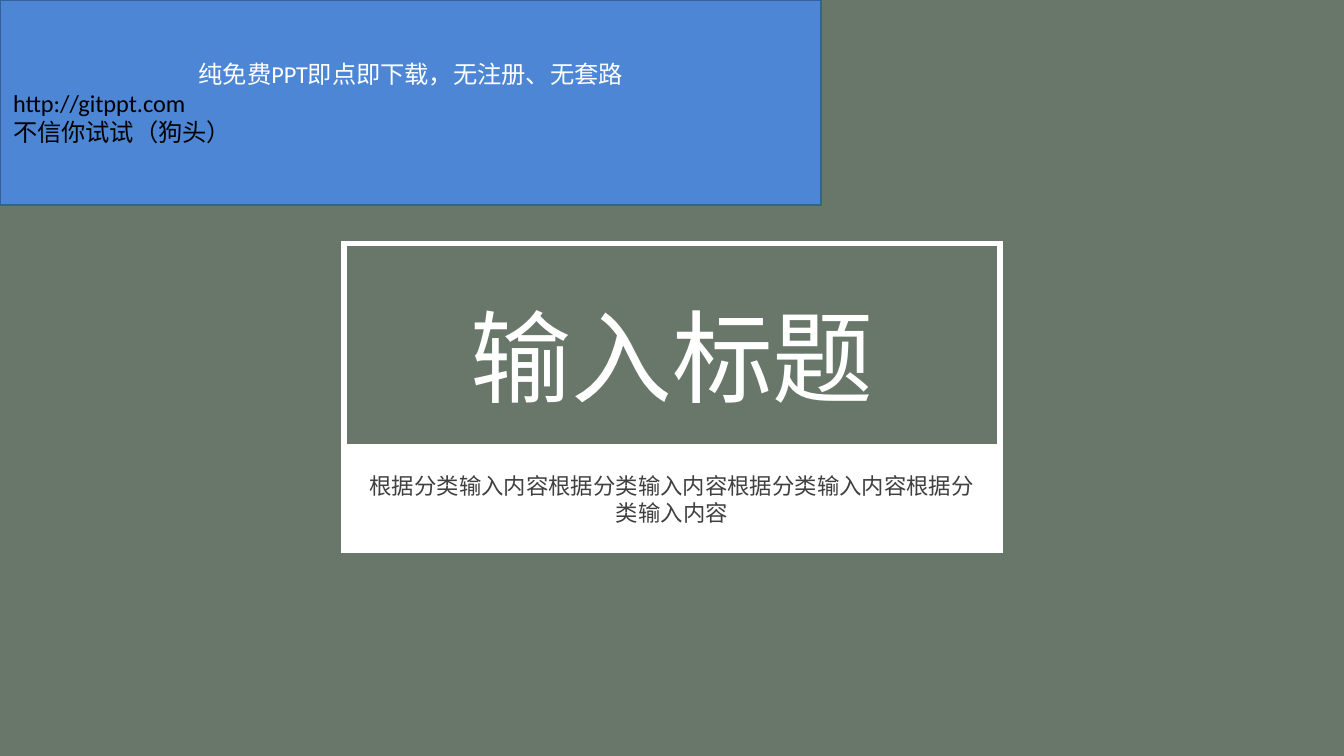
"""Build a cover slide with a framed title, a caption band and a notice banner."""
import pptx
import pptx.dml.color
import pptx.enum.shapes
import pptx.enum.text
import pptx.oxml.ns
import pptx.util
from lxml import etree

Cm = pptx.util.Cm
Pt = pptx.util.Pt
ALIGN = pptx.enum.text.PP_ALIGN
ANCHOR = pptx.enum.text.MSO_ANCHOR
FIT = pptx.enum.text.MSO_AUTO_SIZE
THEME = {
    "green": "687769", "white": "FFFFFF", "grey": "404040", "black": "000000",
    "blue": "4C86D4", "navy": "35619B",
    "chinese": "Noto Sans CJK SC", "latin": "Calibri",
    "title": Pt(54), "caption": Pt(12), "notice": Pt(13),
}


def color(name):
    return pptx.dml.color.RGBColor.from_string(THEME[name])


deck = pptx.Presentation()
deck.slide_width, deck.slide_height = Cm(25.4), Cm(14.29)
page = deck.slides.add_slide(deck.slide_layouts[5])
title = page.shapes.title

panels = [
    ((0, 0, 25.4, 14.29), 0, "green", None, 0),
    ((9.8, 1.3, 5.8, 12.4), 270, None, "white", 3),
    ((6.5, 8.41, 12.4, 2), 0, "white", "white", 1),
]
banner_panel = ((0, 0, 15.52, 3.88), 0, "blue", "navy", 1)
for place, rotation, fill, line, width in panels + [banner_panel]:
    panel = page.shapes.add_shape(
        pptx.enum.shapes.MSO_SHAPE.RECTANGLE, *map(Cm, place))
    panel.rotation = rotation
    panel.shadow.inherit = False
    if fill:
        panel.fill.solid()
        panel.fill.fore_color.rgb = color(fill)
    else:
        panel.fill.background()
    if line:
        panel.line.color.rgb = color(line)
        panel.line.width = Pt(width)
        etree.SubElement(panel.line._ln, pptx.oxml.ns.qn("a:miter"), lim="800000")
    else:
        panel.line.fill.background()
banner = panel
caption = page.shapes.add_textbox(0, 0, 0, 0)
for box in (title, caption, banner):
    page.shapes._spTree.append(box._element)

texts = [
    (title, (7.58, 5.44, 10.24, 2.54), ANCHOR.TOP, FIT.SHAPE_TO_FIT_TEXT,
     "title", "chinese", [("输入标题", ALIGN.CENTER, "white")]),
    (caption, (6.54, 8.79, 12.32, 1.27), ANCHOR.TOP, FIT.SHAPE_TO_FIT_TEXT,
     "caption", "chinese", [("根据分类输入内容" * 4, ALIGN.CENTER, "grey")]),
    (banner, banner_panel[0], ANCHOR.MIDDLE, FIT.NONE, "notice", "latin", [
        ("纯免费PPT即点即下载，无注册、无套路", ALIGN.CENTER, "white"),
        ("http://gitppt.com", ALIGN.LEFT, "black"),
        ("不信你试试（狗头）", ALIGN.LEFT, "black"),
    ]),
]
for box, place, anchor, fit, size, font, lines in texts:
    box.left, box.top, box.width, box.height = map(Cm, place)
    frame = box.text_frame
    frame_format = {
        "word_wrap": True, "auto_size": fit, "vertical_anchor": anchor,
        "margin_left": Cm(0.25), "margin_right": Cm(0.25),
        "margin_top": Cm(0.13), "margin_bottom": Cm(0.13),
    }
    for key, value in frame_format.items():
        setattr(frame, key, value)
    for index, (wording, alignment, ink) in enumerate(lines):
        para = frame.add_paragraph() if index else frame.paragraphs[0]
        para.alignment = alignment
        span = para.add_run()
        span.text = wording
        for key, value in {"name": THEME[font], "size": THEME[size]}.items():
            setattr(span.font, key, value)
        span.font.color.rgb = color(ink)
        etree.SubElement(span.font._element, pptx.oxml.ns.qn("a:ea"),
                         typeface=THEME["chinese"])

deck.save("out.pptx")
